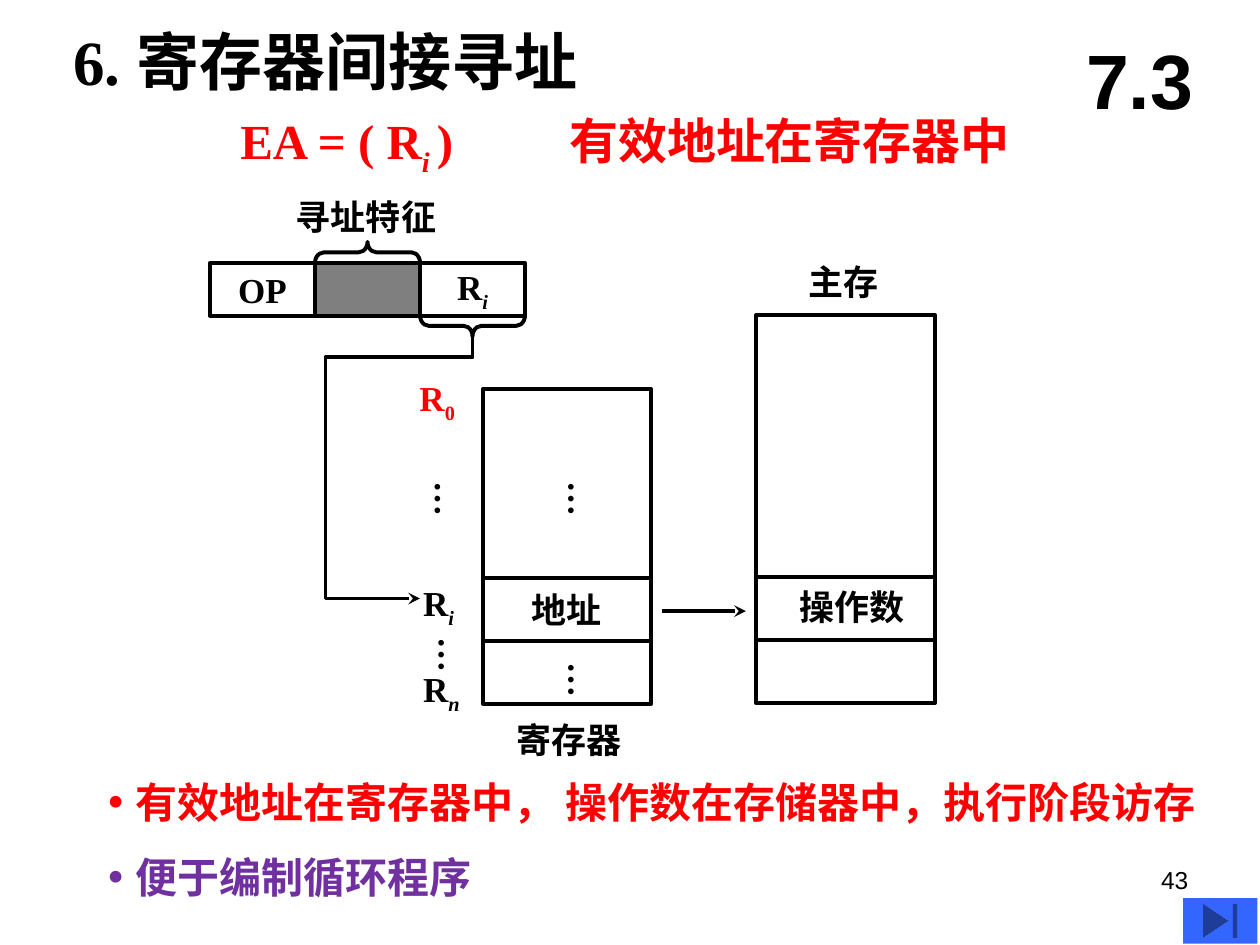
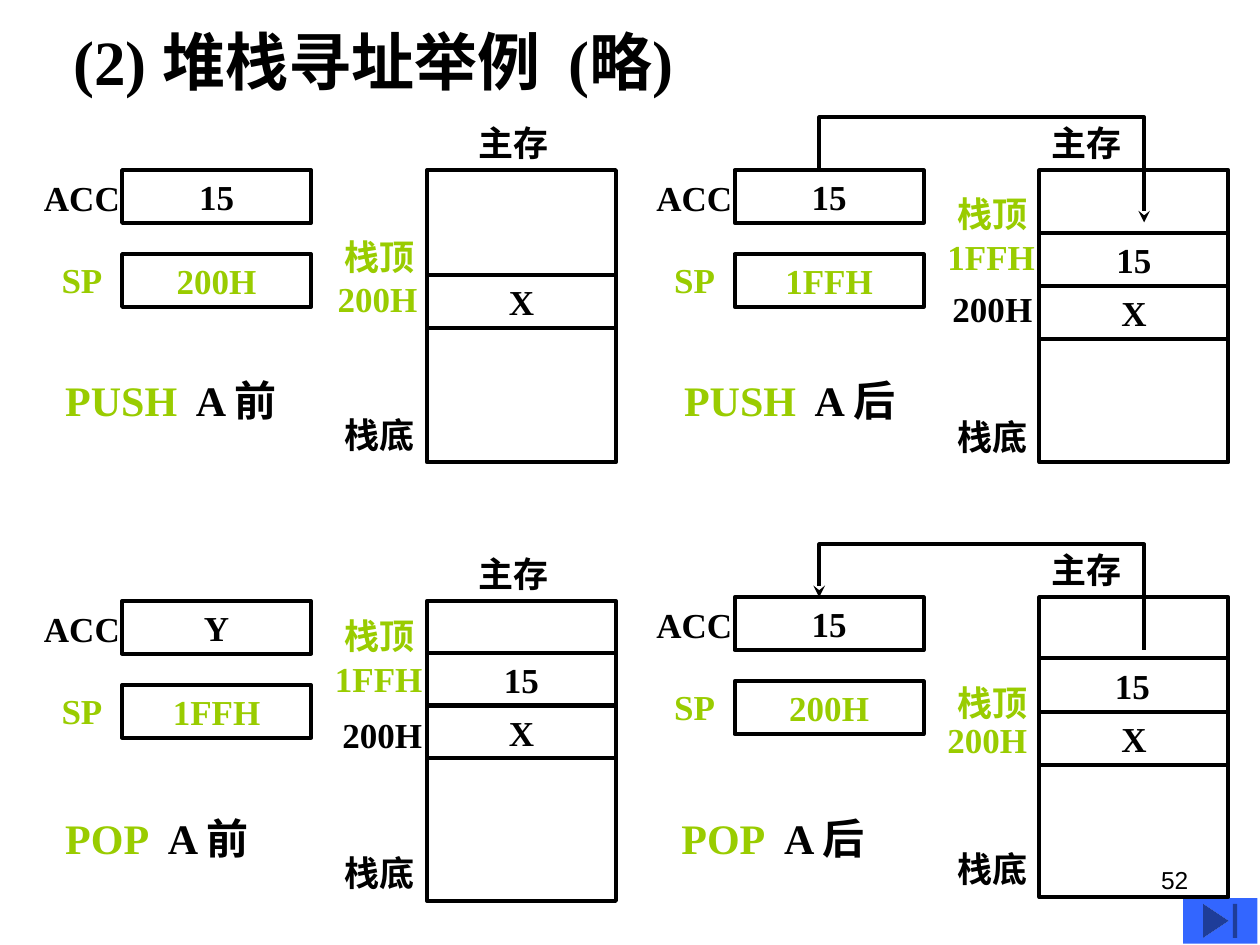
from lxml import etree
from pptx import Presentation
from pptx.dml.color import RGBColor
from pptx.enum.shapes import MSO_CONNECTOR, MSO_SHAPE
from pptx.enum.text import MSO_ANCHOR, MSO_AUTO_SIZE, PP_ALIGN
from pptx.oxml.ns import qn
from pptx.util import Pt

RECTANGLE = MSO_SHAPE.RECTANGLE
LEFT_BRACE = MSO_SHAPE.LEFT_BRACE
END_BUTTON = MSO_SHAPE.ACTION_BUTTON_END
STRAIGHT = MSO_CONNECTOR.STRAIGHT
TOP, MIDDLE = MSO_ANCHOR.TOP, MSO_ANCHOR.MIDDLE
LEFT, CENTER, RIGHT = PP_ALIGN.LEFT, PP_ALIGN.CENTER, PP_ALIGN.RIGHT
FIT_SHAPE, NO_FIT = MSO_AUTO_SIZE.SHAPE_TO_FIT_TEXT, MSO_AUTO_SIZE.NONE

COLORS = {
    "black": "000000",
    "red": "FF0000",
    "purple": "7030A0",
    "green": "99CC00",
    "blue": "3366FF",
}
SERIF, SANS = "Times New Roman", "Arial"
TITLE_LAYOUT, LIST_LAYOUT = 5, 1
LINE_WIDTH = 2.25
CELL_WIDTH, CELL_HEIGHT = 108, 30.2


def color(name):
    return RGBColor.from_string(COLORS[name])


def subscript(base, index, italic=True):
    return [(base, {}), (index, {"italic": italic, "sub": True})]


class Deck:
    def __init__(self):
        self.presentation = Presentation()
        self.presentation.slide_width = Pt(720)
        self.presentation.slide_height = Pt(540)
        self.slide = None

    def start_slide(self, layout, title, title_width, number):
        layouts = self.presentation.slide_layouts
        self.slide = self.presentation.slides.add_slide(layouts[layout])
        shape = self.slide.shapes.title
        self.place(shape, 34.6, 9.4, title_width, 51)
        frame = shape.text_frame
        frame.auto_size, frame.word_wrap, frame.vertical_anchor = NO_FIT, True, TOP
        self.set_text(frame.paragraphs[0], title, size=36)
        self.label(number, 518.4, 491, 167.8, 37.4, size=14, font=SANS,
                   bold=False, align=RIGHT, wrap=True)
        button = self.shape(END_BUTTON, 676, 513.2, 42.5, 26)
        button.fill.solid()
        button.fill.fore_color.rgb = color("blue")
        button.line.fill.background()

    def place(self, shape, left, top, width, height):
        shape.left, shape.top = Pt(left), Pt(top)
        shape.width, shape.height = Pt(width), Pt(height)

    def set_text(self, paragraph, text, size=20, ink="black", font=SERIF,
                 bold=True, align=LEFT):
        paragraph.alignment = align
        paragraph.font.size = Pt(size)
        paragraph.font.name = font
        paragraph.font.bold = bold
        paragraph.font.color.rgb = color(ink)
        pieces = [(text, {})] if isinstance(text, str) else text
        for piece, style in pieces:
            run = paragraph.add_run()
            run.text = piece
            if style.get("italic"):
                run.font.italic = True
            if "ink" in style:
                run.font.color.rgb = color(style["ink"])
            if style.get("sub"):
                run._r.get_or_add_rPr().set("baseline", "-25000")

    def label(self, text, left, top, width, height=31, wrap=False,
              anchor=TOP, vertical=False, **style):
        box = self.slide.shapes.add_textbox(Pt(left), Pt(top), Pt(width), Pt(height))
        frame = box.text_frame
        frame.word_wrap = wrap
        frame.vertical_anchor = anchor
        frame.auto_size = NO_FIT if wrap else FIT_SHAPE
        if vertical:
            box.element.txBody.bodyPr.set("vert", "eaVert")
        self.set_text(frame.paragraphs[0], text, **style)

    def bullets(self, items, left, top, width, height):
        body = self.slide.placeholders[1]
        self.place(body, left, top, width, height)
        frame = body.text_frame
        frame.auto_size, frame.vertical_anchor = NO_FIT, TOP
        for index, (text, ink) in enumerate(items):
            paragraph = frame.add_paragraph() if index else frame.paragraphs[0]
            properties = paragraph._p.get_or_add_pPr()
            properties.set("marL", str(Pt(16.5)))
            properties.set("indent", str(-Pt(16.5)))
            bullet_color = etree.SubElement(properties, qn("a:buClr"))
            etree.SubElement(bullet_color, qn("a:srgbClr"), val=COLORS[ink])
            etree.SubElement(properties, qn("a:buSzPct"), val="117000")
            etree.SubElement(properties, qn("a:buFont"), typeface=SERIF)
            etree.SubElement(properties, qn("a:buChar"), char="•")
            paragraph.space_before = Pt(14.4 if index else 0)
            self.set_text(paragraph, text, size=24, ink=ink)

    def shape(self, kind, left, top, width, height):
        shape = self.slide.shapes.add_shape(kind, Pt(left), Pt(top), Pt(width), Pt(height))
        return self.outline(shape)

    def outline(self, shape, arrow=False):
        shape.shadow.inherit = False
        shape.fill.background()
        self.stroke(shape, arrow)
        return shape

    def stroke(self, shape, arrow):
        shape.line.color.rgb = color("black")
        shape.line.width = Pt(LINE_WIDTH)
        if arrow:
            line = shape.element.spPr.find(qn("a:ln"))
            etree.SubElement(line, qn("a:tailEnd"), type="stealth")

    def cell(self, left, top, width=CELL_WIDTH, height=CELL_HEIGHT, text="", ink="black"):
        box = self.shape(RECTANGLE, left, top, width, height)
        if text:
            frame = box.text_frame
            frame.word_wrap, frame.vertical_anchor = False, MIDDLE
            self.set_text(frame.paragraphs[0], text, ink=ink, align=CENTER)
        return box

    def shade(self, shape, ink, opacity):
        shape.fill.solid()
        shape.fill.fore_color.rgb = color(ink)
        tone = shape.element.spPr.find(qn("a:solidFill"))[0]
        etree.SubElement(tone, qn("a:alpha"), val=str(opacity * 1000))

    def brace(self, left, top, rotation):
        brace = self.shape(LEFT_BRACE, left, top, 12, 60)
        brace.rotation = rotation
        brace.adjustments[0] = 0.42

    def line(self, start, end, arrow=False):
        x1, y1, x2, y2 = (Pt(value) for value in (*start, *end))
        connector = self.slide.shapes.add_connector(STRAIGHT, x1, y1, x2, y2)
        self.stroke(connector, arrow)
        etree.SubElement(connector.element.spPr, qn("a:effectLst"))

    def bent_arrow(self, points):
        corners = [(Pt(x), Pt(y)) for x, y in points]
        builder = self.slide.shapes.build_freeform(*corners[0])
        builder.add_line_segments(corners[1:], close=False)
        self.outline(builder.convert_to_shape(), arrow=True)


def register_indirect_slide(deck):
    deck.start_slide(LIST_LAYOUT, "6. 寄存器间接寻址", 303, "43")
    deck.label("7.3", 606.2, 12, 90, 66, size=44, font=SANS, align=CENTER,
               anchor=MIDDLE, wrap=True)
    formula = [("EA = ( R", {}), ("i ", {"italic": True, "sub": True}), (")", {})]
    deck.label(formula, 130.3, 59.8, 139.7, 41, size=28, ink="red")
    deck.label("有效地址在寄存器中", 318.2, 59.8, 270, 41, size=28, ink="red", wrap=True)
    deck.bullets([
        ("有效地址在寄存器中， 操作数在存储器中，执行阶段访存", "red"),
        ("便于编制循环程序", "purple"),
    ], 54, 440, 666, 86)

    field_left, field_top, field_width = 120, 150.2, 60
    fields = [
        deck.cell(field_left + index * field_width, field_top, field_width, text=text)
        for index, text in enumerate(["OP", "", subscript("R", "i")])
    ]
    deck.shade(fields[1], "black", 50)
    deck.label("寻址特征", 162, 108, 95)
    deck.brace(204, 114.2, 90)
    deck.brace(264, 156.2, 270)
    deck.bent_arrow([(270, 192.2), (270, 204.2), (186, 204.2), (186, 342), (240, 342)])

    for top, height, text in [(222.2, 108, ""), (330.2, 36, "地址"), (366.2, 36, "")]:
        deck.cell(276, top, 96, height, text)
    for left, top in [(310.3, 267.8), (310.3, 371.5), (234, 267.8), (236.2, 357.1)]:
        deck.label("…", left, top, 38.2, 27.4, vertical=True)
    deck.label(subscript("R", "0", italic=False), 232.6, 211.7, 36, ink="red")
    deck.label(subscript("R", "i"), 234.7, 329, 32.4)
    deck.label(subscript("R", "n"), 234.7, 378, 36)
    deck.label("寄存器", 288, 406.8, 102, wrap=True)

    deck.line((378, 349.2), (426.2, 349.2), arrow=True)
    deck.cell(432, 180, 102.2, 221.8)
    for divider in (329.8, 365.8):
        deck.line((432, divider), (534.2, divider))
    deck.label("操作数", 450, 331.2, 75)
    deck.label("主存", 455, 145.4, 54.7)


def stack_panel(deck, left, top, accumulator, pointer, memory_height, memory_label,
                cells, labels, bottom_label):
    deck.cell(left + 69.8, top, text=accumulator)
    deck.cell(left + 69.8, top + 48, text=pointer, ink="green")
    deck.label("ACC", left + 18, top, 58.3)
    deck.label("SP", left + 28.1, top + 46.8, 38.2, ink="green")
    deck.cell(left + 244, top, height=memory_height)
    deck.label("主存", left + memory_label, top - 31.3, 54.7)
    for offset, text in cells:
        deck.cell(left + 244, top + offset, text=text)
    for text, x, y, width, ink in labels:
        deck.label(text, left + x, top + y, width, ink=ink)
    deck.label("栈底", left + 190, top + bottom_label, 54.7)


def transfer_points(left, top):
    x1, x2 = left + 118.1, left + 303.8
    return [(x1, top), (x1, top - 30.2), (x2, top - 30.2), (x2, top + 29.9)]


def stack_slide(deck):
    deck.start_slide(TITLE_LAYOUT, "(2) 堆栈寻址举例  (略)", 487.4, "52")
    right, push_top, pop_top, popped_top = 350, 97.2, 343.4, 341.3
    stack_panel(deck, 0, push_top, "15", "200H", 167, 266.4, [(59.8, "X")],
                [("栈顶", 190, 33.8, 54.7, "green"),
                 ("200H", 185.8, 57.6, 59.8, "green")], 135.4)
    stack_panel(deck, right, push_top, "15", "1FFH", 167, 244,
                [(36, "15"), (66.2, "X")],
                [("栈顶", 190, 9.4, 54.7, "green"),
                 ("1FFH", 184.3, 33.8, 64.8, "green"),
                 ("200H", 187.2, 63.4, 59.8, "black")], 136.8)
    stack_panel(deck, 0, pop_top, "Y", "1FFH", 171.4, 266.4,
                [(29.5, "15"), (59.8, "X")],
                [("栈顶", 190, 4.3, 54.7, "green"),
                 ("1FFH", 184.3, 28.8, 64.8, "green"),
                 ("200H", 188.6, 60.5, 59.8, "black")], 139.7)
    stack_panel(deck, right, popped_top, "15", "200H", 171.4, 244, [(65.5, "X")],
                [("栈顶", 190, 44.6, 54.7, "green"),
                 ("200H", 184.3, 65.5, 59.8, "green"),
                 ("15", 280, 34.6, 40, "black")], 139.7)
    deck.line((594, 375.8), (702, 375.8))
    deck.bent_arrow(transfer_points(right, push_top))
    deck.bent_arrow(transfer_points(right, popped_top)[::-1])

    for command, moment, left, top, width in [
        ("PUSH", "前", 30.2, 210.2, 138.2),
        ("PUSH", "后", 383.8, 210.2, 138.2),
        ("POP", "前", 30.2, 460.8, 121.7),
        ("POP", "后", 382.3, 460.8, 121.7),
    ]:
        caption = [(command, {"ink": "green"}), (f"  A {moment}", {})]
        deck.label(caption, left, top, width, 65, size=24, wrap=True)


def main():
    deck = Deck()
    register_indirect_slide(deck)
    stack_slide(deck)
    deck.presentation.save("out.pptx")


if __name__ == "__main__":
    main()
